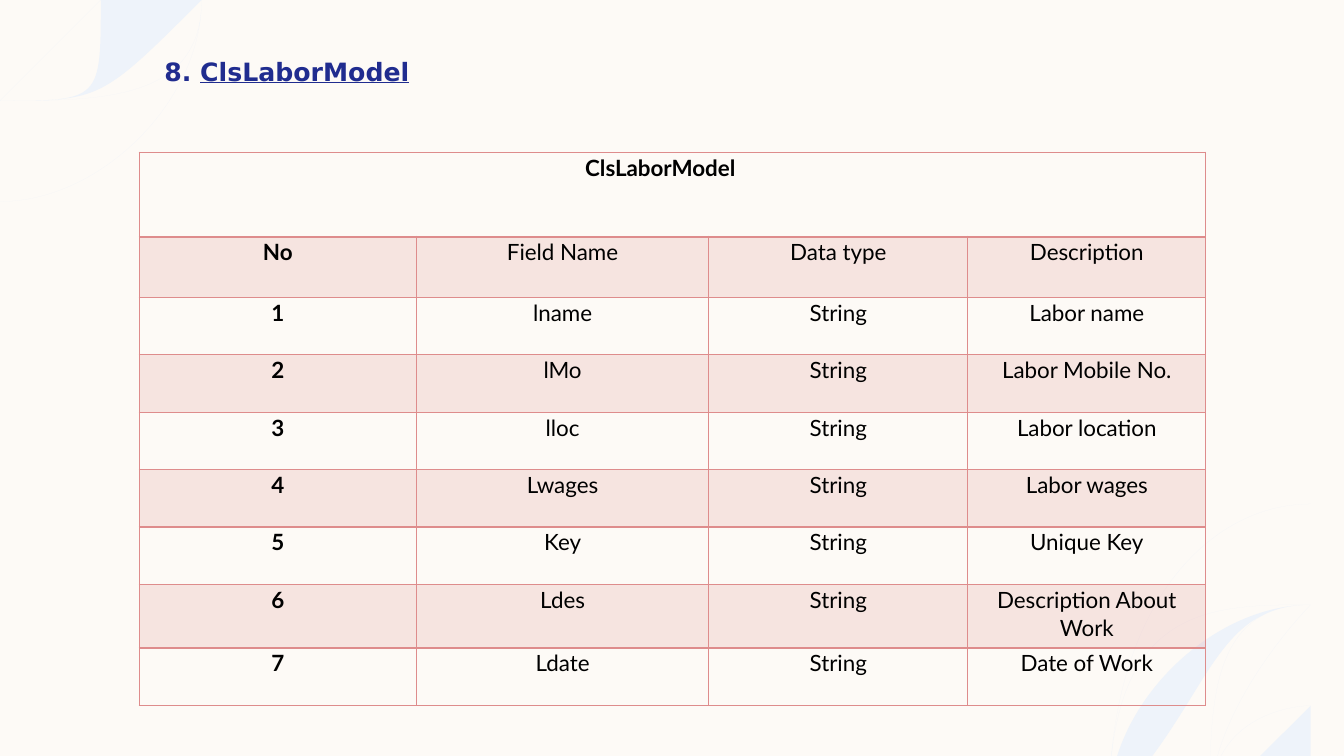
from math import asin, cos, pi, sin, tan
from lxml import etree
from pptx import Presentation
from pptx import util as u
from pptx.dml.color import RGBColor
from pptx.enum import text
from pptx.oxml.ns import qn

# Content
TITLE = [("8. ", False), ("ClsLaborModel", True)]
CAPTION = "ClsLaborModel"
ROWS = [
    ("No", "Field Name", "Data type", "Description"),
    ("1", "lname", "String", "Labor name"),
    ("2", "lMo", "String", "Labor Mobile No."),
    ("3", "lloc", "String", "Labor location"),
    ("4", "Lwages", "String", "Labor wages"),
    ("5", "Key", "String", "Unique Key"),
    ("6", "Ldes", "String", "Description About Work"),
    ("7", "Ldate", "String", "Date of Work"),
]

# Layout, in inches
W, H = 13.33, 7.5
TABLE_LEFT, TABLE_TOP = 1.38, 1.51
COL_WIDTHS = [2.75, 2.9, 2.57, 2.36]
ROW_HEIGHTS = [0.84, 0.6] + [0.57] * 5 + [0.63, 0.57]
RINGS, OUTER, INNER, BAND, OFFSET = 17, 2.46, 0.32, 0.03, 0.16
CREAM, PALE_BLUE, NAVY, ROSE, BLACK = "FDFAF6", "EEF3FA", "202C8F", "DE8C8C", "000000"


def color(value):
    return RGBColor.from_string(value)


def add_run(p, content, font="Lato", size=16, fill=BLACK, bold=False, underline=False):
    p.line_spacing = 1.07
    p.space_after = u.Pt(8)
    r = p.add_run()
    r.text = content
    r.font.name, r.font.size = font, u.Pt(size)
    r.font.bold, r.font.underline = bold, underline
    r.font.color.rgb = color(fill)


def arc(radius):
    """Start, two control points and end of a curve from edge to edge."""
    start = asin(OFFSET / radius)
    pull = radius * 4 / 3 * tan((pi / 2 - start) / 4)
    x, y = radius * cos(start), radius * sin(start) - OFFSET
    bottom = radius - OFFSET
    return [(x, y), (x - pull * sin(start), y + pull * cos(start)),
            (pull, bottom), (0, bottom)]


def curve(lines):
    """Join three line segments into one cubic curve."""
    cubic = etree.Element(qn("a:cubicBezTo"))
    lines[0].addprevious(cubic)
    for line in lines:
        cubic.append(line[0])
        line.getparent().remove(line)


def add_rings(slide, corner_x, corner_y, sign):
    builder = None
    for i in range(RINGS):
        radius = OUTER - i * (OUTER - INNER) / (RINGS - 1)
        outline = arc(radius) + arc(radius - BAND)[::-1]
        points = [(corner_x + sign * x, corner_y + sign * y) for x, y in outline]
        if builder is None:
            builder = slide.shapes.build_freeform(*points[0], scale=u.Inches(1))
        else:
            builder.move_to(*points[0])
        builder.add_line_segments(points[1:], close=True)
    sp = builder.convert_to_shape()
    lines = list(sp._element.iter(qn("a:lnTo")))
    for i in range(0, len(lines), 7):
        curve(lines[i:i + 3])
        curve(lines[i + 4:i + 7])
    sp.shadow.inherit = False
    sp.fill.solid()
    sp.fill.fore_color.rgb = color(PALE_BLUE)
    sp.line.fill.background()
    slide.shapes._spTree.insert(2, sp._element)  # behind the title


def style_cell(cell, shaded, top=1, bottom=1):
    cell.margin_left = cell.margin_right = u.Inches(0.07)
    cell.margin_top = cell.margin_bottom = 0
    tc_pr = cell._tc.get_or_add_tcPr()
    if shaded:
        cell.fill.solid()
        cell.fill.fore_color.rgb = color(ROSE)
        rgb = tc_pr.find(".//" + qn("a:srgbClr"))
        etree.SubElement(rgb, qn("a:alpha"), val="20000")
    else:
        cell.fill.background()
    for i, (side, width) in enumerate(zip("LRTB", (1, 1, top, bottom))):
        ln = etree.Element(qn("a:ln" + side), w=str(u.Pt(width)))
        fill = etree.SubElement(ln, qn("a:solidFill"))
        etree.SubElement(fill, qn("a:srgbClr"), val=ROSE)
        tc_pr.insert(i, ln)


prs = Presentation()
prs.slide_width, prs.slide_height = u.Inches(W), u.Inches(H)
slide = prs.slides.add_slide(prs.slide_layouts[5])
slide.background.fill.solid()
slide.background.fill.fore_color.rgb = color(CREAM)

# Corner rings
add_rings(slide, 0, 0, 1)
add_rings(slide, W, H, -1)

# Title
title = slide.shapes.title
title.left, title.top, title.width, title.height = map(u.Inches, (1.53, 0.49, 6.67, 0.41))
tf = title.text_frame
tf.word_wrap = True
tf.auto_size = text.MSO_AUTO_SIZE.NONE
tf.vertical_anchor = text.MSO_ANCHOR.TOP
p = tf.paragraphs[0]
p.alignment = text.PP_ALIGN.LEFT
for content, underline in TITLE:
    add_run(p, content, font="DejaVu Sans", size=18, fill=NAVY, bold=True, underline=underline)

# Table
table = slide.shapes.add_table(
    len(ROW_HEIGHTS), len(COL_WIDTHS), u.Inches(TABLE_LEFT), u.Inches(TABLE_TOP),
    u.Inches(sum(COL_WIDTHS)), u.Inches(sum(ROW_HEIGHTS))).table
table.first_row = table.horz_banding = False
for column, width in zip(table.columns, COL_WIDTHS):
    column.width = u.Inches(width)
for row, height in zip(table.rows, ROW_HEIGHTS):
    row.height = u.Inches(height)

# Caption row, set slightly left of centre
for cell in table.rows[0].cells:
    style_cell(cell, False, bottom=2)
caption = table.cell(0, 0)
caption.merge(table.cell(0, len(COL_WIDTHS) - 1))
caption.margin_right = u.Inches(0.31)
p = caption.text_frame.paragraphs[0]
p.alignment = text.PP_ALIGN.CENTER
add_run(p, CAPTION, bold=True)

# Field rows
for i, values in enumerate(ROWS, start=1):
    for j, value in enumerate(values):
        cell = table.cell(i, j)
        style_cell(cell, i % 2 == 1, top=2 if i == 1 else 1)
        p = cell.text_frame.paragraphs[0]
        p.alignment = text.PP_ALIGN.CENTER
        add_run(p, value, bold=j == 0)

prs.save("out.pptx")
